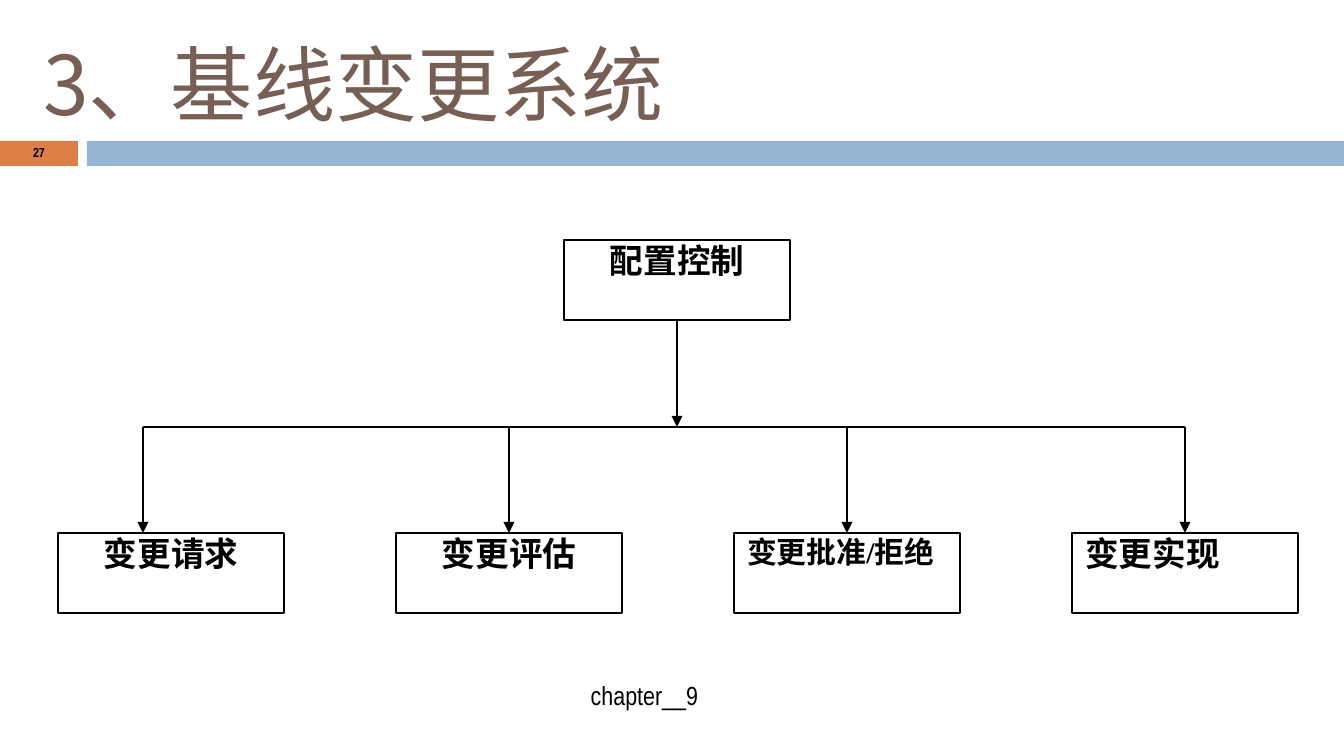
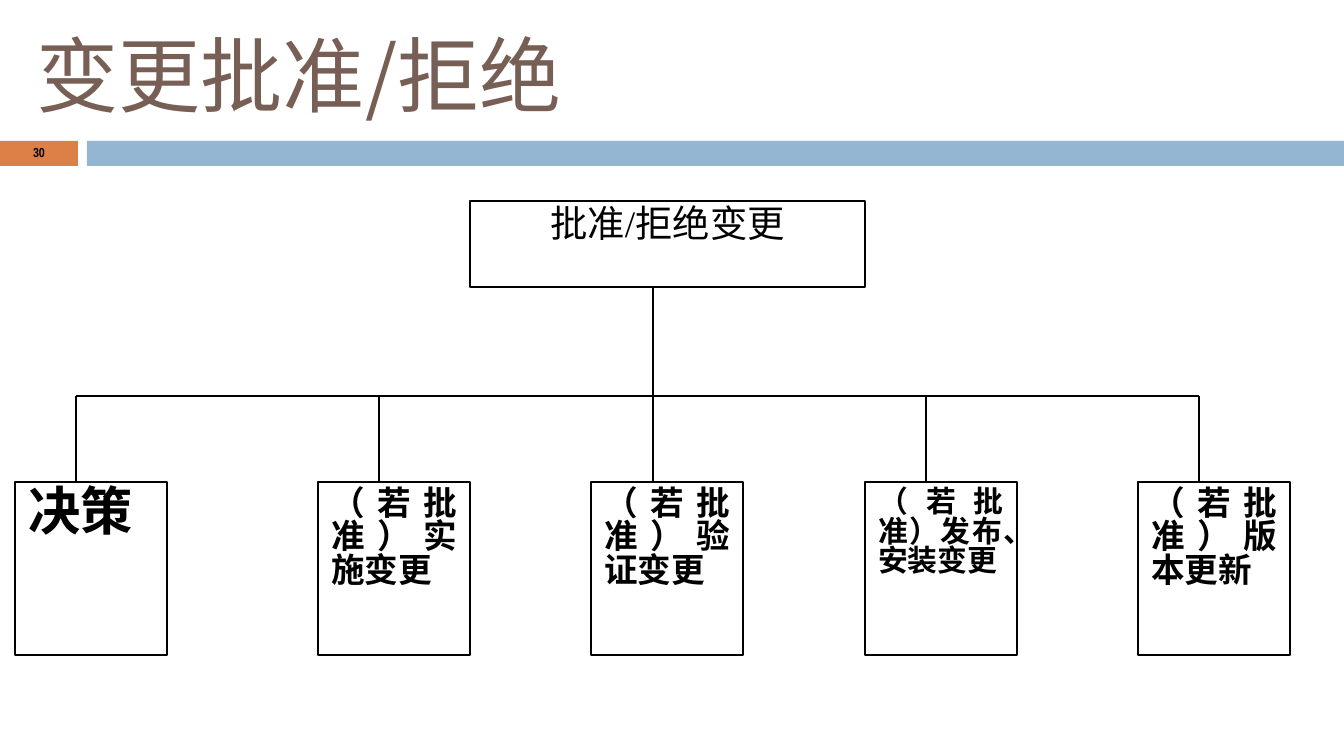
import pptx
import pptx.dml.color
import pptx.enum.shapes
import pptx.enum.text
import pptx.oxml.ns
import pptx.util
from lxml import etree

EMU_PER_PX = 914400 / 134.4
SLIDE_WIDTH, SLIDE_HEIGHT = 1344, 756
COLOURS = {
    "title": "775F55",
    "number band": "DD8047",
    "title band": "94B6D2",
    "box": "FFFFFF",
    "ink": "000000",
}
CHINESE_FONT = "Noto Sans CJK SC"
CHINESE_SPACING = 0.83
ALIGN = pptx.enum.text.PP_ALIGN
ANCHOR = pptx.enum.text.MSO_ANCHOR
TOP, BOTTOM = 0, 2

TITLE = {"size": 44, "name": CHINESE_FONT, "colour": "title", "spacing": CHINESE_SPACING}
NUMBER = {"size": 7, "name": "Arial Narrow", "bold": True, "align": ALIGN.CENTER, "spacing": 0.8}
FOOTER = {"size": 14, "name": "Arial Narrow", "align": ALIGN.CENTER}
BOX = {"size": 18, "name": "Times New Roman", "bold": True, "align": ALIGN.CENTER,
       "spacing": CHINESE_SPACING}
JUSTIFIED = {**BOX, "align": ALIGN.JUSTIFY}


def px(length):
    return pptx.util.Emu(round(length * EMU_PER_PX))


def colour(name):
    return pptx.dml.color.RGBColor.from_string(COLOURS[name])


class Deck:
    """Holds the presentation, its style and the slide being built."""

    def __init__(self):
        self.presentation = pptx.Presentation()
        self.presentation.slide_width = px(SLIDE_WIDTH)
        self.presentation.slide_height = px(SLIDE_HEIGHT)
        self.slide = None

    def add_slide(self, title, title_left, title_top, number):
        self.slide = self.presentation.slides.add_slide(self.presentation.slide_layouts[6])
        self.rectangle(0, 141, 78, 25, "number band")
        self.rectangle(87, 141, 1257, 25, "title band")
        self.text_box(title, title_left, title_top, 1142, 126, TITLE)
        self.text_box(number, 0, 140, 78, 27, NUMBER)

    def set_text(self, shape, text, style, anchor):
        frame = shape.text_frame
        frame.word_wrap = True
        frame.vertical_anchor = anchor
        paragraph = frame.paragraphs[0]
        paragraph.alignment = style.get("align", ALIGN.LEFT)
        paragraph.line_spacing = style.get("spacing", 1.0)
        run = paragraph.add_run()
        run.text = text
        font_values = {
            "size": pptx.util.Pt(style["size"]),
            "name": style["name"],
            "bold": style.get("bold", False),
        }
        for attribute, value in font_values.items():
            setattr(run.font, attribute, value)
        run.font.color.rgb = colour(style.get("colour", "ink"))
        latin = run.font._element.find(pptx.oxml.ns.qn("a:latin"))
        east_asian = etree.Element(pptx.oxml.ns.qn("a:ea"), typeface=CHINESE_FONT)
        latin.addnext(east_asian)

    def text_box(self, text, left, top, width, height, style):
        shape = self.slide.shapes.add_textbox(px(left), px(top), px(width), px(height))
        self.set_text(shape, text, style, ANCHOR.MIDDLE)

    def rectangle(self, left, top, width, height, fill):
        shape = self.slide.shapes.add_shape(
            pptx.enum.shapes.MSO_SHAPE.RECTANGLE, px(left), px(top), px(width), px(height))
        shape.shadow.inherit = False
        shape.fill.solid()
        shape.fill.fore_color.rgb = colour(fill)
        shape.line.fill.background()
        return shape

    def box(self, text, left, top, width, height, style):
        shape = self.rectangle(left, top, width, height, "box")
        shape.line.color.rgb = colour("ink")
        shape.line.width = pptx.util.Pt(0.75)
        self.set_text(shape, text, style, ANCHOR.TOP)
        return shape

    def line(self, start, end, arrow=False):
        connector = self.slide.shapes.add_connector(
            pptx.enum.shapes.MSO_CONNECTOR.STRAIGHT, *map(px, start + end))
        connector.line.color.rgb = colour("ink")
        connector.line.width = pptx.util.Pt(0.75)
        properties = connector._element.spPr
        if arrow:
            outline = properties.find(pptx.oxml.ns.qn("a:ln"))
            etree.SubElement(outline, pptx.oxml.ns.qn("a:tailEnd"), type="triangle")
        etree.SubElement(properties, pptx.oxml.ns.qn("a:effectLst"))
        return connector


def build_baseline_change(deck):
    deck.add_slide("3、基线变更系统", 30, 28, "27")
    deck.text_box("chapter__9", 246, 675, 797, 40, FOOTER)

    box_width, box_height, box_top, bus_top = 226, 80, 533, 427
    middle = box_width // 2
    steps = [
        ("变更请求", BOX),
        ("变更评估", BOX),
        ("变更批准/拒绝", {**JUSTIFIED, "size": 16}),
        ("变更实现", JUSTIFIED),
    ]
    lefts = [58 + 338 * index for index in range(len(steps))]
    drops = [143] + [left + middle for left in lefts[1:]]

    control = deck.box("配置控制", 564, 240, box_width, box_height, BOX)
    boxes = [deck.box(text, left, box_top, box_width, box_height, style)
             for left, (text, style) in zip(lefts, steps)]

    deck.line((drops[0], bus_top), (drops[-1], bus_top))
    trunk = deck.line((564 + middle, 320), (564 + middle, bus_top), arrow=True)
    trunk.begin_connect(control, BOTTOM)
    for left, drop, box in zip(lefts, drops, boxes):
        arrow = deck.line((drop, bus_top), (drop, box_top), arrow=True)
        if drop == left + middle:
            arrow.end_connect(box, TOP)


def build_change_approval(deck):
    deck.add_slide("变更批准/拒绝", 23, 19, "30")

    box_top, bus_top, trunk_left, drop_offset = 482, 396, 653, 61
    steps = [
        ("决策", 28),
        ("（若批准）实施变更", 18),
        ("（若批准）验证变更", 18),
        ("（若批准）发布、安装变更", 16),
        ("（若批准）版本更新", 18),
    ]
    lefts = [15] + [318 + round(273.4 * index) for index in range(len(steps) - 1)]
    drops = [left + drop_offset for left in lefts]

    deck.box("批准/拒绝变更", 470, 201, 395, 86, {**BOX, "size": 20, "bold": False})
    for left, (text, size) in zip(lefts, steps):
        deck.box(text, left, box_top, 152, 173, {**JUSTIFIED, "size": size})

    deck.line((drops[0], bus_top), (drops[-1], bus_top))
    deck.line((trunk_left, 287), (trunk_left, box_top))
    for drop in drops:
        if abs(drop - trunk_left) > 1:
            deck.line((drop, bus_top), (drop, box_top))


def main():
    deck = Deck()
    build_baseline_change(deck)
    build_change_approval(deck)
    deck.presentation.save("out.pptx")


if __name__ == "__main__":
    main()
